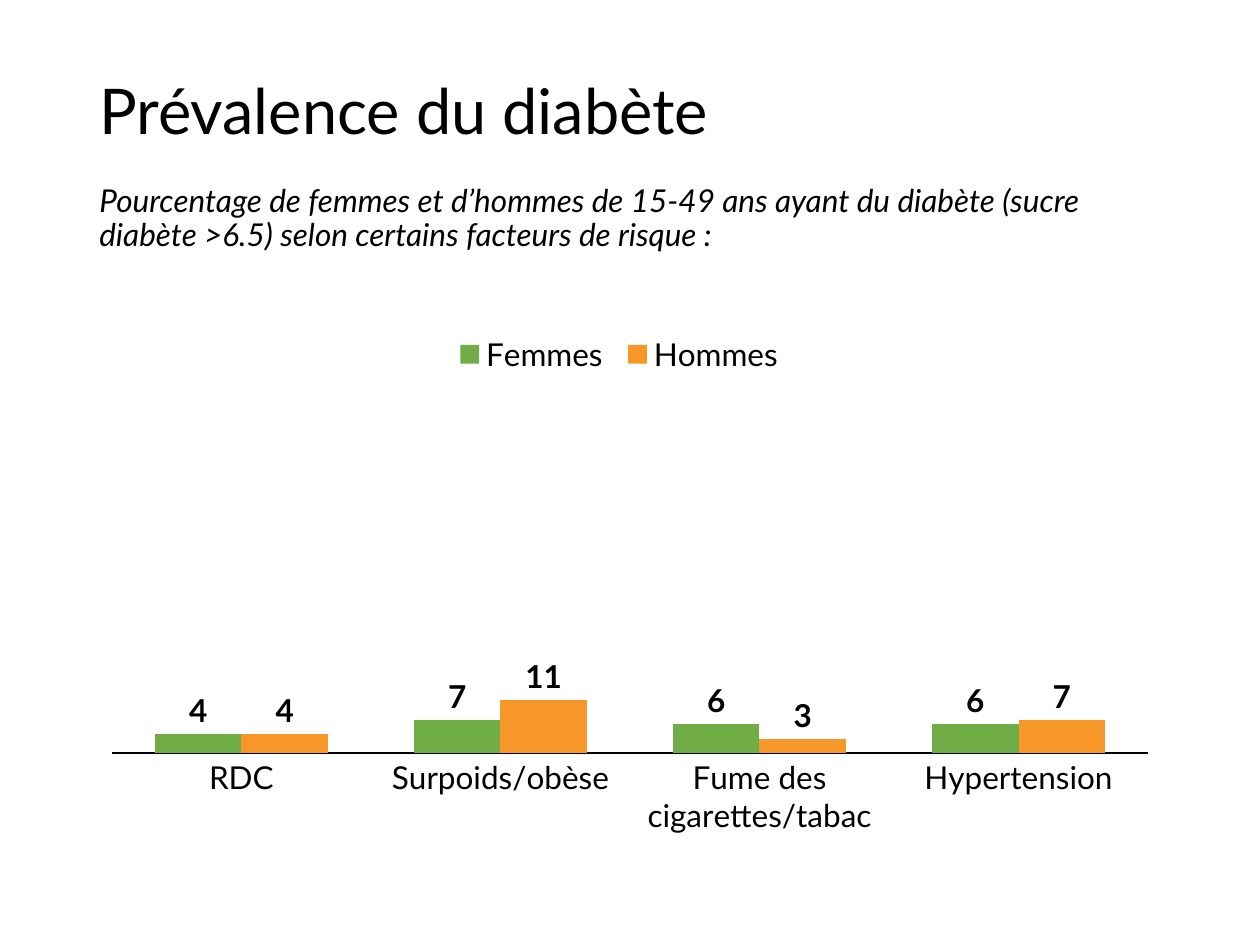
import pptx
import pptx.chart.data
import pptx.dml.color
import pptx.enum.chart
import pptx.enum.text
import pptx.oxml
import pptx.oxml.ns
import pptx.util

FONT, BLACK = "Lato", "000000"


def rgb(value):
    """Return the colour for a hex string."""
    return pptx.dml.color.RGBColor.from_string(value)


def style_font(font, size=18, color=BLACK, bold=False, italic=False):
    """Apply the deck's typeface and the given format to a font."""
    font.name, font.size = FONT, pptx.util.Pt(size)
    font.bold, font.italic = bold, italic
    font.color.rgb = rgb(color)


def write(tf, text, before=0, spacing=0.9, **fmt):
    """Write one formatted paragraph into a text frame."""
    p = tf.paragraphs[0]
    p.line_spacing, p.space_before = spacing, pptx.util.Pt(before)
    r = p.add_run()
    r.text = text
    style_font(r.font, **fmt)


def manual_layout(x, y, w, h, inner=False):
    """Return a chart layout element given as shares of the chart."""
    target = '<c:layoutTarget val="inner"/>' if inner else ""
    modes = "".join(f'<c:{k}Mode val="edge"/>' for k in "xy")
    sizes = "".join(f'<c:{k} val="{v}"/>' for k, v in zip("xywh", (x, y, w, h)))
    return pptx.oxml.parse_xml(
        f'<c:layout {pptx.oxml.ns.nsdecls("c")}><c:manualLayout>'
        f"{target}{modes}{sizes}</c:manualLayout></c:layout>")


def set_layout(parent, layout, after=None):
    """Replace the layout of a chart part, placing it after the named child."""
    for old in parent.findall(pptx.oxml.ns.qn("c:layout")):
        parent.remove(old)
    if after is None:
        parent.insert(0, layout)
    else:
        parent.find(pptx.oxml.ns.qn(after)).addnext(layout)


class Deck:
    """Hold the presentation, its current slide and its measures."""

    def __init__(self, width=10, height=7.5):
        """Start a presentation with one blank slide."""
        self.prs = pptx.Presentation()
        self.prs.slide_width = pptx.util.Inches(width)
        self.prs.slide_height = pptx.util.Inches(height)
        self.s = self.prs.slides.add_slide(self.prs.slide_layouts[6])

    def box(self, x, y, w, h):
        """Turn shares of the slide's size into lengths."""
        sw, sh = self.prs.slide_width, self.prs.slide_height
        return int(x * sw), int(y * sh), int(w * sw), int(h * sh)

    def text(self, area, text, anchor="TOP", **fmt):
        """Add a wrapped text box."""
        tf = self.s.shapes.add_textbox(*self.box(*area)).text_frame
        tf.word_wrap = True
        tf.vertical_anchor = getattr(pptx.enum.text.MSO_ANCHOR, anchor)
        write(tf, text, **fmt)

    def columns(self, area, cats, series, plot, legend, top=100):
        """Add a labelled clustered column chart from name, values and colour."""
        enum = pptx.enum.chart
        data = pptx.chart.data.CategoryChartData()
        data.categories = cats
        for name, values, _ in series:
            data.add_series(name, values)
        chart = self.s.shapes.add_chart(
            enum.XL_CHART_TYPE.COLUMN_CLUSTERED, *self.box(*area), data).chart
        chart.has_title = False
        style_font(chart.font)
        bars = chart.plots[0]
        bars.gap_width, bars.overlap, bars.vary_by_categories = 100, 0, False
        for ser, (_, _, color) in zip(bars.series, series):
            ser.format.fill.solid()
            ser.format.fill.fore_color.rgb = rgb(color)
            labels = ser.data_labels
            labels.show_value = True
            labels.position = enum.XL_LABEL_POSITION.OUTSIDE_END
            style_font(labels.font, bold=True)
        self.axes(chart, top)
        chart.has_legend = True
        chart.legend.position = enum.XL_LEGEND_POSITION.RIGHT
        chart.legend.include_in_layout = False
        style_font(chart.legend.font)
        set_layout(chart.legend._element, manual_layout(*legend), "c:legendPos")
        area_xml = chart._chartSpace.chart.plotArea
        set_layout(area_xml, manual_layout(*plot, inner=True))

    def axes(self, chart, top):
        """Show a plain category axis and hide the value axis."""
        cat, val = chart.category_axis, chart.value_axis
        cat.major_tick_mark = pptx.enum.chart.XL_TICK_MARK.NONE
        cat.format.line.color.rgb = rgb(BLACK)
        cat.format.line.width = pptx.util.Pt(0.75)
        style_font(cat.tick_labels.font)
        val.minimum_scale, val.maximum_scale = 0, top
        val.has_major_gridlines = False
        val.visible = False


def main():
    """Build and save the diabetes prevalence slide."""
    deck = Deck()
    left, width = 0.069, 0.862
    deck.text((left, 0.053, width, 0.136), "Prévalence du diabète",
              anchor="MIDDLE", size=36)
    deck.text((left, 0.189, width, 0.09),
              "Pourcentage de femmes et d’hommes de 15-49 ans ayant du diabète "
              "(sucre diabète >6.5) selon certains facteurs de risque :",
              before=10, italic=True)
    deck.columns((left, 0.277, width, 0.699),
                 ["RDC", "Surpoids/obèse", "Fume des cigarettes/tabac",
                  "Hypertension"],
                 [("Femmes", (4, 7, 6, 6), "70AD47"),
                  ("Hommes", (4, 11, 3, 7), "F89729")],
                 plot=(0.023, 0.019, 0.954, 0.725),
                 legend=(0.33, 0.1, 0.32, 0.08))
    deck.prs.save("out.pptx")


if __name__ == "__main__":
    main()
